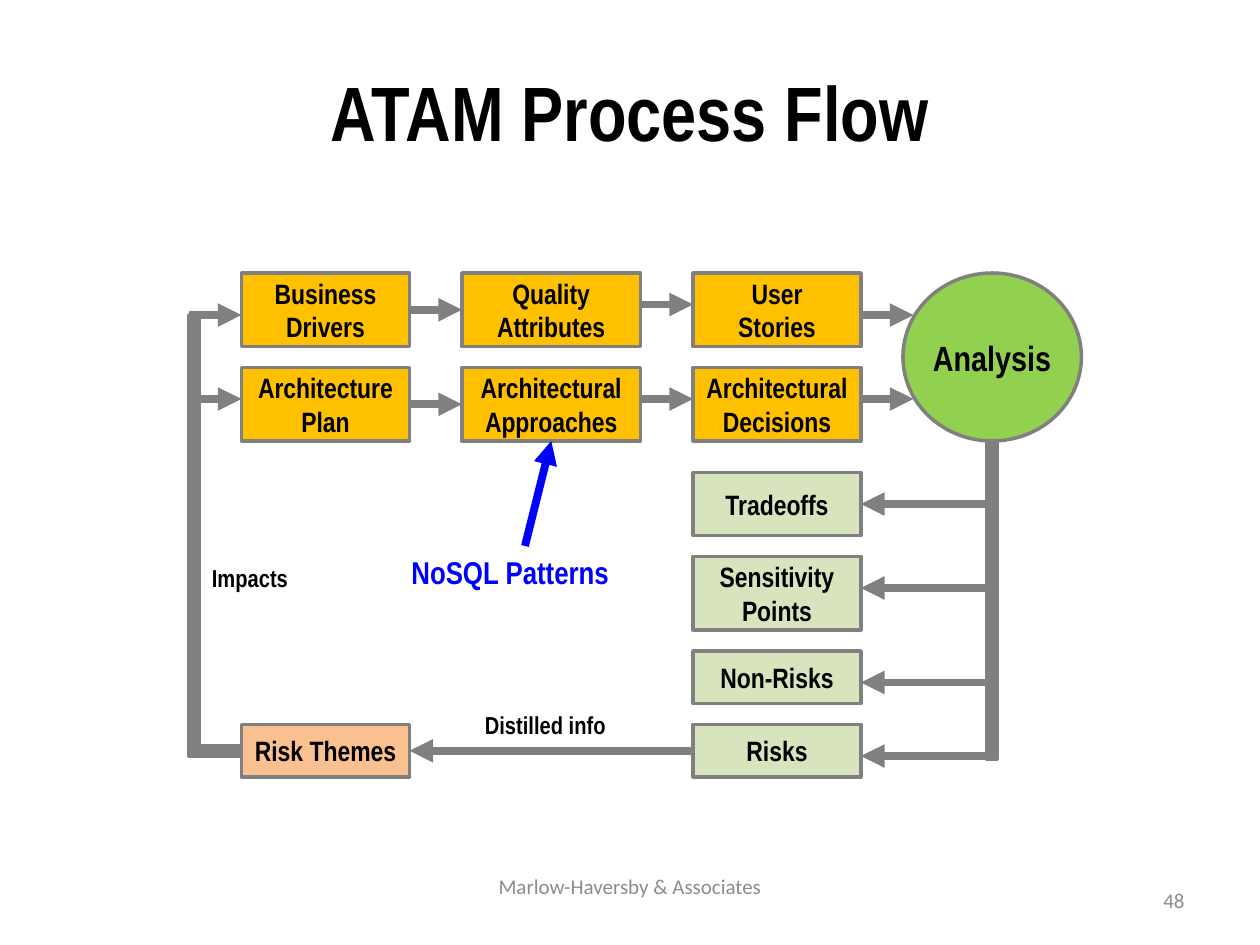
from lxml.etree import SubElement
from pptx import Presentation
from pptx.dml.color import RGBColor
from pptx.enum.shapes import MSO_CONNECTOR, MSO_SHAPE
from pptx.enum.text import MSO_ANCHOR, PP_ALIGN
from pptx.oxml.ns import qn
from pptx.util import Pt

COLORS = {
    "ink": "000000", "line": "808080", "note": "8C8C8C", "blue": "0000FF",
    "input": "FFC000", "output": "D7E4BD", "theme": "FAC090", "hub": "92D050",
}


def paint(name):
    return RGBColor.from_string(COLORS[name])


class Flow:
    font = "Arial Narrow"

    def __init__(self, deck):
        self.slide = deck.slides.add_slide(deck.slide_layouts[5])
        self.shapes = self.slide.shapes

    def letter(self, frame, text, size, color="ink", align=PP_ALIGN.CENTER,
               font=font, bold=True):
        frame.vertical_anchor = MSO_ANCHOR.MIDDLE
        for i, line in enumerate(text.split("\n")):
            para = frame.paragraphs[0] if i == 0 else frame.add_paragraph()
            para.alignment = align
            run = para.add_run()
            run.text = line
            run.font.name, run.font.size, run.font.bold = font, Pt(size), bold
            run.font.color.rgb = paint(color)

    def title(self, text, x, y, w, h):
        head = self.shapes.title
        head.left, head.top, head.width, head.height = Pt(x), Pt(y), Pt(w), Pt(h)
        self.letter(head.text_frame, text, 44)

    def box(self, text, x, y, w, h, fill, kind=MSO_SHAPE.RECTANGLE, size=16):
        shape = self.shapes.add_shape(kind, Pt(x), Pt(y), Pt(w), Pt(h))
        shape.shadow.inherit = False
        shape.fill.solid()
        shape.fill.fore_color.rgb = paint(fill)
        shape.line.color.rgb = paint("line")
        shape.line.width = Pt(2)
        if text:
            frame = shape.text_frame
            frame.margin_left = frame.margin_right = 0
            self.letter(frame, text, size)

    def bar(self, x, y, w, h):
        self.box("", x, y, w, h, "line")

    def label(self, text, x, y, w, h, size, wrap=False, **style):
        frame = self.shapes.add_textbox(Pt(x), Pt(y), Pt(w), Pt(h)).text_frame
        frame.word_wrap = wrap
        self.letter(frame, text, size, **style)

    def arrow(self, x1, y1, x2, y2, color="line"):
        link = self.shapes.add_connector(
            MSO_CONNECTOR.STRAIGHT, Pt(x1), Pt(y1), Pt(x2), Pt(y2))
        link.line.color.rgb = paint(color)
        link.line.width = Pt(4.5)
        props = link._element.spPr
        SubElement(props.get_or_add_ln(), qn("a:tailEnd"), type="triangle")
        SubElement(props, qn("a:effectLst"))


def main():
    deck = Presentation()
    deck.slide_width, deck.slide_height = Pt(720), Pt(540)
    flow = Flow(deck)
    flow.title("ATAM Process Flow", 36, 18, 648, 90)

    cols = [(138, 96), (264, 102), (396, 96)]
    rows = [
        (156, ["Business\nDrivers", "Quality\nAttributes", "User\nStories"],
         [180, 177, 174, 180]),
        (210, ["Architecture\nPlan", "Architectural\nApproaches",
               "Architectural\nDecisions"],
         [228, 231, 228, 228]),
    ]
    gaps = [(108, 138), (234, 264), (366, 396), (492, 522)]
    flow.box("Analysis", 516, 156, 102, 96, "hub", MSO_SHAPE.OVAL, 20)
    for top, names, levels in rows:
        for name, (x, w) in zip(names, cols):
            flow.box(name, x, top, w, 42, "input")
        for (start, end), y in zip(gaps, levels):
            flow.arrow(start, y, end, y)

    flow.bar(564, 252, 6, 182)
    results = [
        ("Tradeoffs", 270, 36, 288), ("Sensitivity\nPoints", 318, 42, 336),
        ("Non-Risks", 372, 30, 390), ("Risks", 414, 30, 432),
    ]
    for name, top, h, y in results:
        flow.box(name, 396, top, 96, h, "output")
        flow.arrow(564, y, 492, y)

    flow.box("Risk Themes", 138, 414, 96, 30, "theme")
    flow.arrow(396, 429, 234, 429)
    flow.bar(108, 180, 6, 246)
    flow.bar(108, 426, 30, 6)

    left = PP_ALIGN.LEFT
    flow.label("Distilled info", 270, 402, 84, 24, 14, align=left)
    flow.label("Impacts", 114, 318, 58, 24, 14, align=left)
    flow.label("NoSQL Patterns", 228, 312, 132, 29, 18, color="blue", align=left)
    flow.arrow(300, 312, 315, 252, "blue")

    small = dict(color="note", font="Calibri", bold=False, wrap=True)
    flow.label("Marlow-Haversby & Associates", 246, 492, 228, 29, 12, **small)
    flow.label("48", 516, 500, 168, 29, 12, align=PP_ALIGN.RIGHT, **small)
    deck.save("out.pptx")


if __name__ == "__main__":
    main()
